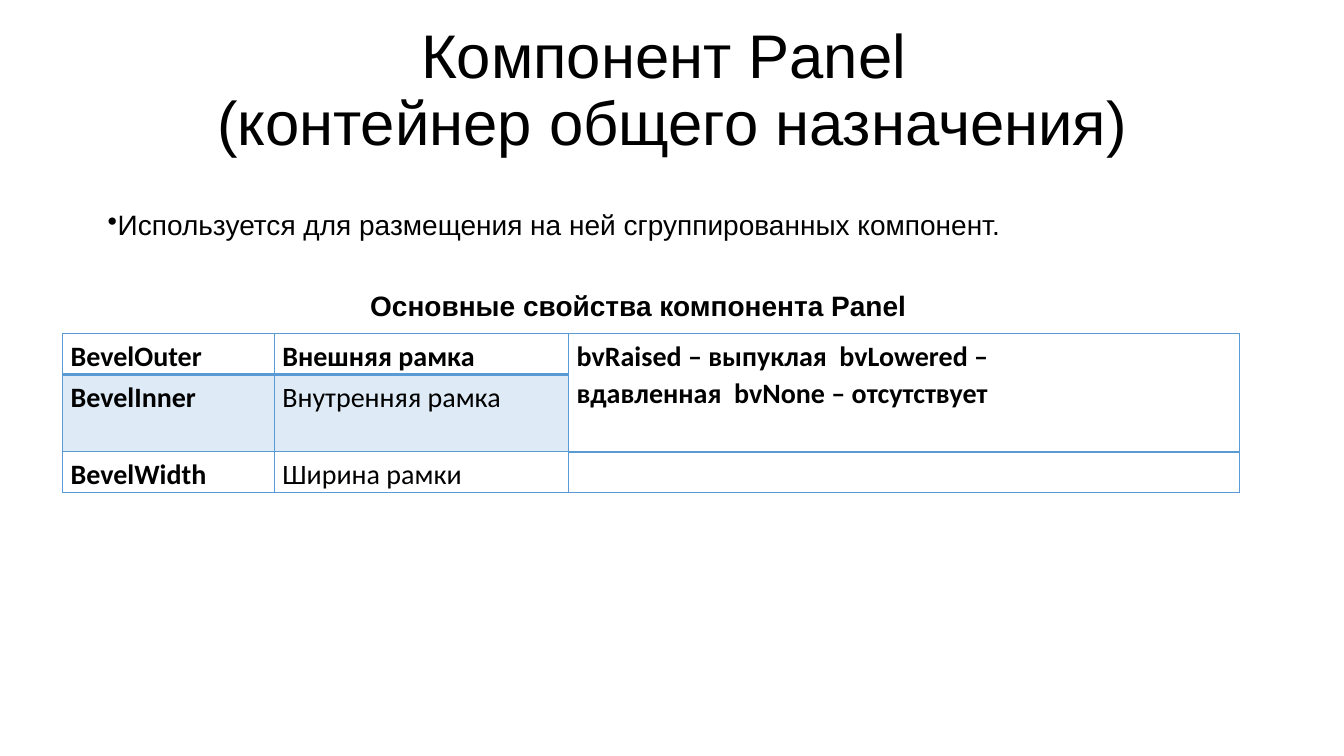
"""Build the slide about the Panel component."""
from dataclasses import dataclass

from lxml import etree
from pptx import Presentation
from pptx.dml.color import RGBColor
from pptx.enum.text import MSO_ANCHOR, MSO_AUTO_SIZE, PP_ALIGN
from pptx.oxml.ns import qn
from pptx.util import Inches, Pt

MIDDLE = MSO_ANCHOR.MIDDLE
NO_FIT = MSO_AUTO_SIZE.NONE
GROW = MSO_AUTO_SIZE.SHAPE_TO_FIT_TEXT
LEFT = PP_ALIGN.LEFT
CENTER = PP_ALIGN.CENTER
TITLE_ONLY = 5


@dataclass(frozen=True)
class Theme:
    ink: str = "000000"
    line: str = "5B9BD5"
    band: str = "DEEBF7"
    heading_font: str = "Arial"
    table_font: str = "Calibri"
    title_size: int = 44
    body_size: int = 20
    thin: int = 1
    thick: int = 2


@dataclass(frozen=True)
class Note:
    text: str
    left: float
    top: float
    width: float
    height: float
    align: PP_ALIGN
    bold: bool = False
    bullet: str = ""


@dataclass(frozen=True)
class Entry:
    row: int
    column: int
    text: str = ""
    bold: bool = False
    banded: bool = False
    right_inset: float = 0.08


THEME = Theme()
TITLE_LINES = ("Компонент Panel ", "(контейнер общего назначения)")
NOTES = (
    Note("Используется для размещения на ней сгруппированных компонент.",
         0.47, 2.01, 12.4, 0.44, LEFT, bullet="•"),
    Note("Основные свойства компонента Panel ",
         0.47, 2.81, 11.8, 0.44, CENTER, bold=True),
)
COLUMN_WIDTHS = (2.1, 2.92, 6.65)
ROW_HEIGHTS = (0.4, 0.75, 0.4)
ENTRIES = (
    Entry(0, 0, "BevelOuter", bold=True),
    Entry(0, 1, "Внешняя рамка", bold=True),
    Entry(0, 2, "bvRaised – выпуклая  bvLowered – вдавленная  bvNone – отсутствует",
          bold=True, right_inset=1.9),
    Entry(1, 0, "BevelInner", bold=True, banded=True),
    Entry(1, 1, "Внутренняя рамка", banded=True),
    Entry(1, 2),
    Entry(2, 0, "BevelWidth", bold=True),
    Entry(2, 1, "Ширина рамки"),
    Entry(2, 2),
)


def add_span(para, text: str, font: str, size: int, bold: bool = False) -> None:
    """Add one formatted run to a paragraph."""
    span = para.add_run()
    span.text = text
    span.font.name = font
    span.font.size = Pt(size)
    span.font.bold = bold
    span.font.color.rgb = RGBColor.from_string(THEME.ink)


def place(box, left: float, top: float, width: float, height: float) -> None:
    """Move and size a shape."""
    box.left, box.top = Inches(left), Inches(top)
    box.width, box.height = Inches(width), Inches(height)


def draw_title(page) -> None:
    """Fill the title placeholder."""
    title = page.shapes.title
    place(title, 0.92, 0.19, 11.5, 1.45)
    frame = title.text_frame
    frame.auto_size = NO_FIT
    frame.vertical_anchor = MIDDLE
    para = frame.paragraphs[0]
    para.alignment = CENTER
    para.line_spacing = 0.9
    for index, line in enumerate(TITLE_LINES):
        if index:
            para.add_line_break()
        add_span(para, line, THEME.heading_font, THEME.title_size)


def draw_note(page, note: Note) -> None:
    """Draw a single-paragraph text box."""
    box = page.shapes.add_textbox(Inches(note.left), Inches(note.top),
                                  Inches(note.width), Inches(note.height))
    frame = box.text_frame
    frame.word_wrap = True
    frame.auto_size = GROW
    frame.vertical_anchor = MIDDLE
    para = frame.paragraphs[0]
    para.alignment = note.align
    if note.bullet:
        settings = para._p.get_or_add_pPr()
        settings.set("marL", "0")
        settings.set("indent", str(Inches(0.5)))
        etree.SubElement(settings, qn("a:buChar")).set("char", note.bullet)
    add_span(para, note.text, THEME.heading_font, THEME.body_size, note.bold)


def draw_borders(cell, top: int, bottom: int) -> None:
    """Outline a cell with the given top and bottom weights."""
    settings = cell._tc.get_or_add_tcPr()
    weights = {"L": THEME.thin, "R": THEME.thin, "T": top, "B": bottom}
    for side, weight in weights.items():
        line = etree.SubElement(settings, qn(f"a:ln{side}"), w=str(Pt(weight)))
        fill = etree.SubElement(line, qn("a:solidFill"))
        etree.SubElement(fill, qn("a:srgbClr"), val=THEME.line)


def fill_cell(cell, entry: Entry) -> None:
    """Format one table cell and write its text."""
    cell.margin_left = Inches(0.08)
    cell.margin_right = Inches(entry.right_inset)
    cell.margin_top = Inches(0.04)
    cell.margin_bottom = 0
    under_header = entry.row == 1 and entry.column < 2
    draw_borders(cell, THEME.thick if under_header else THEME.thin,
                 THEME.thick if entry.row == 0 else THEME.thin)
    if entry.banded:
        cell.fill.solid()
        cell.fill.fore_color.rgb = RGBColor.from_string(THEME.band)
    else:
        cell.fill.background()
    if entry.text:
        para = cell.text_frame.paragraphs[0]
        para.line_spacing = 1.07
        add_span(para, entry.text, THEME.table_font, THEME.body_size, entry.bold)


def draw_table(page) -> None:
    """Draw the table of component properties."""
    table = page.shapes.add_table(
        len(ROW_HEIGHTS), len(COLUMN_WIDTHS), Inches(0.62), Inches(3.31),
        Inches(sum(COLUMN_WIDTHS)), Inches(sum(ROW_HEIGHTS))).table
    table.first_row = False
    table.horz_banding = False
    for column, width in zip(table.columns, COLUMN_WIDTHS):
        column.width = Inches(width)
    for row, height in zip(table.rows, ROW_HEIGHTS):
        row.height = Inches(height)
    table.cell(0, 2).merge(table.cell(1, 2))
    for entry in ENTRIES:
        fill_cell(table.cell(entry.row, entry.column), entry)


def main() -> None:
    """Assemble and save the deck."""
    deck = Presentation()
    deck.slide_width, deck.slide_height = Inches(13.33), Inches(7.5)
    page = deck.slides.add_slide(deck.slide_layouts[TITLE_ONLY])
    draw_title(page)
    draw_table(page)
    for note in NOTES:
        draw_note(page, note)
    deck.save("out.pptx")


if __name__ == "__main__":
    main()
